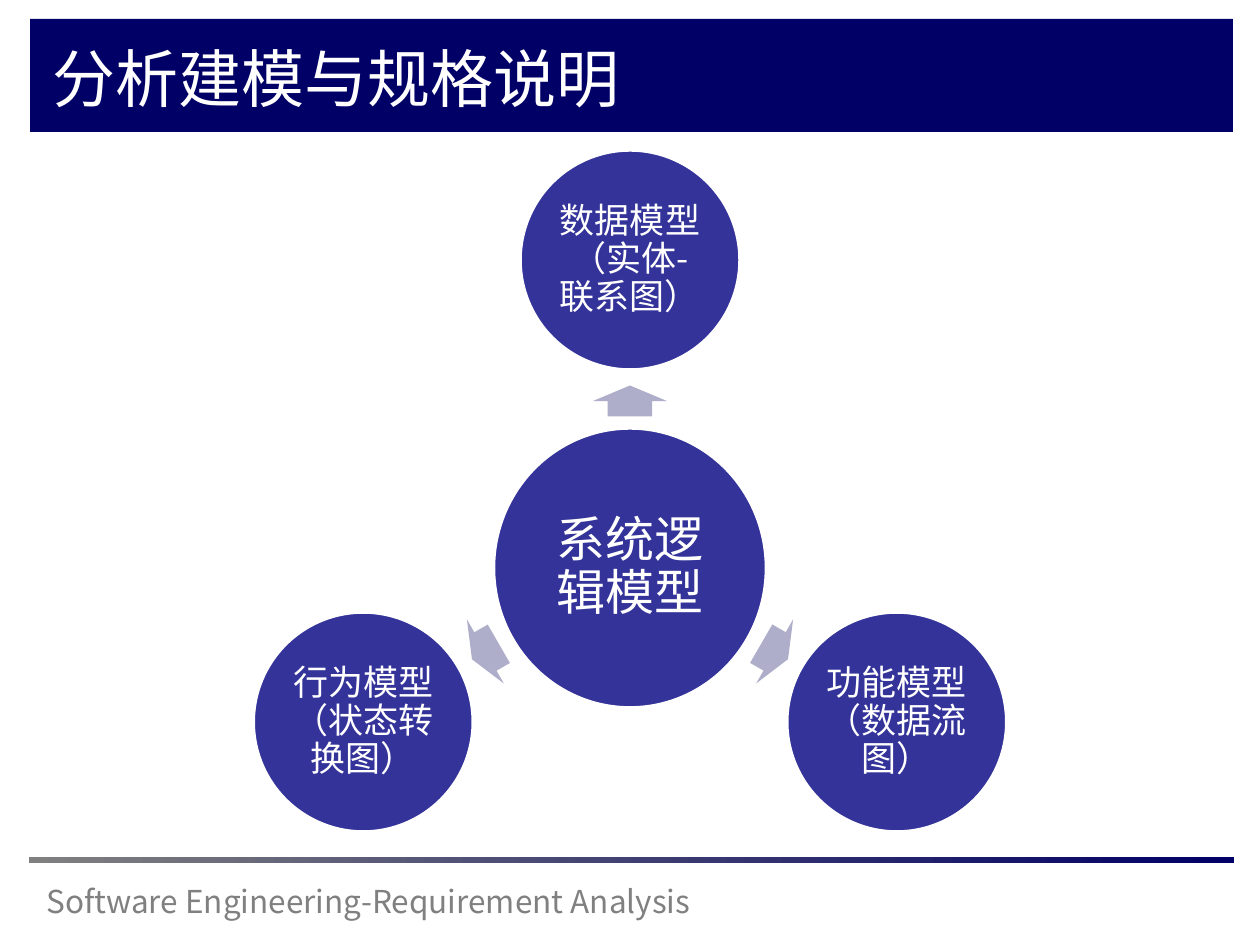
from math import cos, sin, radians
from lxml.etree import SubElement as Sub
from pptx import Presentation as Deck
from pptx.dml.color import RGBColor as Rgb
from pptx.enum.shapes import MSO_SHAPE as Kind
from pptx.enum.text import MSO_ANCHOR as Anchor, PP_ALIGN as Align
from pptx.oxml.ns import qn
from pptx.util import Emu, Pt

SCALE = 914400 / 126


def px(n):
    return Emu(round(n * SCALE))


def tint(code):
    return Rgb.from_string(code)


class Page:
    face = "Noto Sans CJK SC"
    navy, blue, pale = "000066", "333399", "AEAECA"
    gray, white = "808080", "FFFFFF"

    def __init__(self, deck):
        self.slide = deck.slides.add_slide(deck.slide_layouts[6])

    def shape(self, kind, left, top, wide, high, fill):
        item = self.slide.shapes.add_shape(kind, px(left), px(top), px(wide), px(high))
        item.shadow.inherit = False
        item.fill.solid()
        item.fill.fore_color.rgb = tint(fill)
        item.line.fill.background()
        return item

    def fade(self, left, top, wide, high, ends):
        bar = self.shape(Kind.RECTANGLE, left, top, wide, high, ends[0])
        bar.fill.gradient()
        bar.fill.gradient_angle = 0
        for place, (stop, code) in enumerate(zip(bar.fill.gradient_stops, ends)):
            stop.position = place
            stop.color.rgb = tint(code)

    def words(self, para, text, size, color):
        run = para.add_run()
        run.text = text
        font = run.font
        font.size, font.name = Pt(size), self.face
        font.color.rgb = tint(color)
        Sub(run._r.get_or_add_rPr(), qn("a:ea")).set("typeface", self.face)

    def label(self, left, top, wide, high, text, size, color):
        box = self.slide.shapes.add_textbox(px(left), px(top), px(wide), px(high))
        box.text_frame.word_wrap = True
        self.words(box.text_frame.paragraphs[0], text, size, color)

    def disc(self, x, y, wide, high, text, size, inset):
        item = self.shape(Kind.OVAL, x - wide / 2, y - high / 2, wide, high, self.blue)
        item.line.color.rgb = tint(self.white)
        item.line.width = Pt(2)
        frame = item.text_frame
        frame.word_wrap = True
        frame.vertical_anchor = Anchor.MIDDLE
        frame.margin_left = frame.margin_right = px(inset)
        frame.margin_top = frame.margin_bottom = px(inset)
        para = frame.paragraphs[0]
        para.alignment = Align.CENTER
        para.line_spacing = 0.9
        self.words(para, text, size, self.white)

    def arrow(self, x, y, wide, high, turn):
        item = self.shape(Kind.RIGHT_ARROW, x - wide / 2, y - high / 2, wide, high, self.pale)
        item.adjustments[0] = 0.6
        item.adjustments[1] = 0.5
        item.rotation = turn % 360


def main():
    deck = Deck()
    deck.slide_width, deck.slide_height = px(1260), px(945)
    page = Page(deck)
    page.shape(Kind.RECTANGLE, 30, 19, 1203, 113, page.navy)
    page.label(34, 876, 694, 50, "Software Engineering-Requirement Analysis", 18, page.gray)
    page.fade(29, 857, 1205, 6, (page.gray, page.navy))
    page.label(40, 33, 1110, 93, "分析建模与规格说明", 36, page.white)

    hub = 630, 568
    page.disc(*hub, 273, 280, "系统逻辑模型", 28, 5)
    models = ("数据模型（实体-联系图）", "功能模型（数据流图）", "行为模型（状态转换图）")
    for i, text in enumerate(models):
        turn = -90 + 120 * i

        def spot(reach):
            return hub[0] + reach * cos(radians(turn)), hub[1] + reach * sin(radians(turn))

        page.arrow(*spot(167), 31, 74, turn)
        page.disc(*spot(308), 220, 220, text, 20, 4)
    deck.save("out.pptx")


if __name__ == "__main__":
    main()
